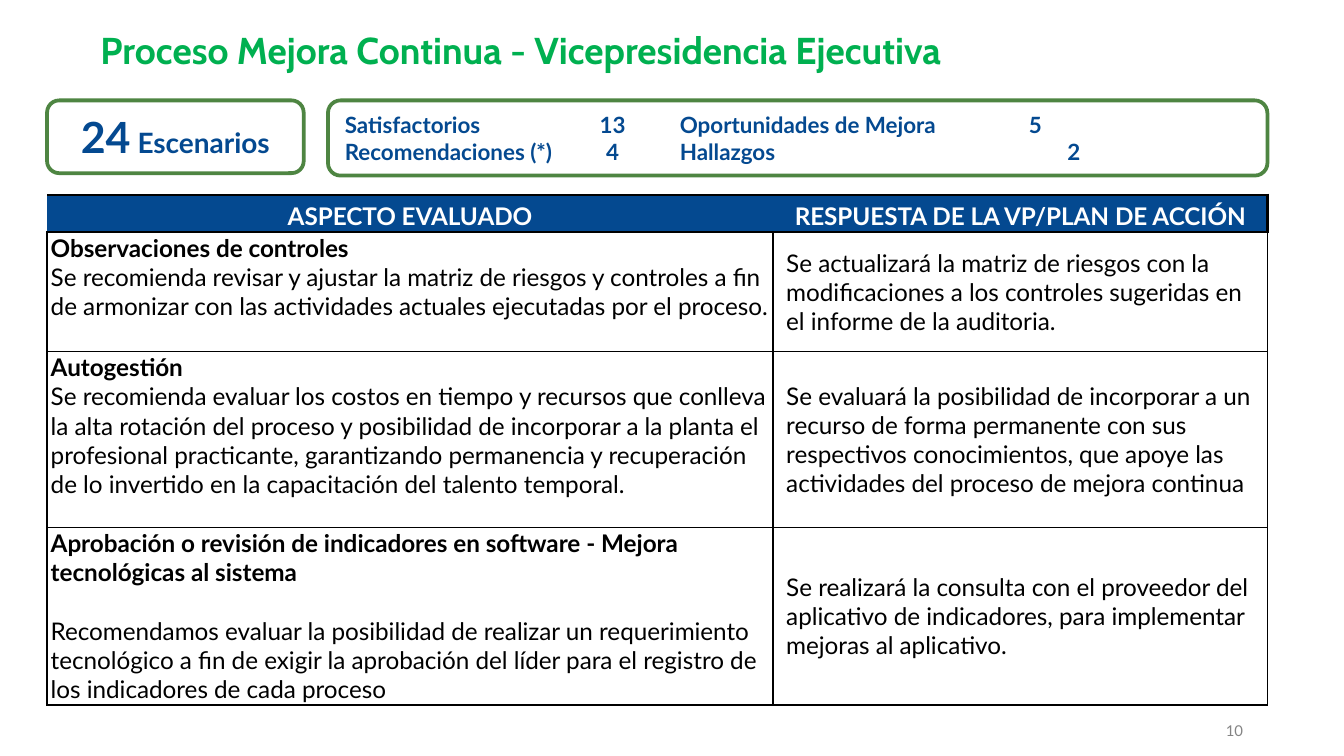
from pptx import Presentation
from pptx.dml.color import RGBColor
from pptx.enum.shapes import MSO_SHAPE
from pptx.enum.text import MSO_ANCHOR, PP_ALIGN
from pptx.oxml.ns import qn
from pptx.util import Pt
from lxml.etree import SubElement

COLORS = {"title": "00B050", "blue": "044990", "green": "4E8542",
          "white": "FFFFFF", "black": "000000", "gray": "848484"}

TITLE = "Proceso Mejora Continua - Vicepresidencia Ejecutiva"
PAGE = "10"
TOTAL = ("24", " Escenarios")
RESULTS = [
    ("Satisfactorios\t13\tOportunidades de Mejora\t5", 366.5),
    ("Recomendaciones (*)\t4\tHallazgos\t2", 387),
]
HEADERS = ["ASPECTO EVALUADO", "RESPUESTA DE LA VP/PLAN DE ACCIÓN"]
ROWS = [
    ("Observaciones de controles",
     "Se recomienda revisar y ajustar la matriz de riesgos y controles a fin de armonizar "
     "con las actividades actuales ejecutadas por el proceso.", 0,
     "Se actualizará la matriz de riesgos con la modificaciones a los controles sugeridas "
     "en el informe de la auditoria."),
    ("Autogestión",
     "Se recomienda evaluar los costos en tiempo y recursos que conlleva la alta rotación "
     "del proceso y posibilidad de incorporar a la planta el profesional practicante, "
     "garantizando permanencia y recuperación de lo invertido en la capacitación del "
     "talento temporal.", 0,
     "Se evaluará la posibilidad de incorporar a un recurso de forma permanente con sus "
     "respectivos conocimientos, que apoye las actividades del proceso de mejora continua"),
    ("Aprobación o revisión de indicadores en software - Mejora tecnológicas al sistema",
     "Recomendamos evaluar la posibilidad de realizar un requerimiento tecnológico a fin "
     "de exigir la aprobación del líder para el registro de los indicadores de cada "
     "proceso", 15.6,
     "Se realizará la consulta con el proveedor del aplicativo de indicadores, para "
     "implementar mejoras al aplicativo."),
]
COL_WIDTHS = [388.8, 265]
ROW_HEIGHTS = [20, 64, 94.3, 95]
LEFT = 25.2


def add_text(p, text, size=13, font="Lato", color="black", bold=False,
             align=PP_ALIGN.LEFT, spacing=None, before=0):
    p.alignment = align
    if spacing:
        p.line_spacing = spacing
    if before:
        p.space_before = Pt(before)
    r = p.add_run()
    r.text = text
    r.font.size = Pt(size)
    r.font.name = font
    r.font.bold = bold
    r.font.color.rgb = RGBColor.from_string(COLORS[color])


def set_margins(obj, x, y):
    obj.margin_left = obj.margin_right = Pt(x)
    obj.margin_top = obj.margin_bottom = Pt(y)


def add_box(s, x, y, w, h, anchor=MSO_ANCHOR.TOP):
    tf = s.shapes.add_textbox(Pt(x), Pt(y), Pt(w), Pt(h)).text_frame
    tf.word_wrap = True
    tf.vertical_anchor = anchor
    set_margins(tf, 0, 0)
    return tf


def add_card(s, x, y, w, h):
    sp = s.shapes.add_shape(MSO_SHAPE.ROUNDED_RECTANGLE, Pt(x), Pt(y), Pt(w), Pt(h))
    sp.shadow.inherit = False
    sp.fill.solid()
    sp.fill.fore_color.rgb = RGBColor.from_string(COLORS["white"])
    sp.line.color.rgb = RGBColor.from_string(COLORS["green"])
    sp.line.width = Pt(2)
    tf = sp.text_frame
    tf.word_wrap = True
    tf.vertical_anchor = MSO_ANCHOR.MIDDLE
    return tf


def set_tabs(p, stops):
    tabs = SubElement(p._p.get_or_add_pPr(), qn("a:tabLst"))
    for pos, align in stops:
        SubElement(tabs, qn("a:tab"), pos=str(Pt(pos)), algn=align)


def set_borders(cell, widths):
    tc_pr = cell._tc.get_or_add_tcPr()
    for i, side in enumerate("LRTB"):
        width = widths.get(side, 0)
        ln = tc_pr.makeelement(qn(f"a:ln{side}"), {"w": str(Pt(width))})
        if width:
            fill = SubElement(ln, qn("a:solidFill"))
            SubElement(fill, qn("a:srgbClr"), val=COLORS["black"])
        else:
            SubElement(ln, qn("a:noFill"))
        tc_pr.insert(i, ln)


def add_findings(s):
    shape = s.shapes.add_table(len(ROWS) + 1, 2, Pt(LEFT), Pt(104.4),
                               Pt(sum(COL_WIDTHS)), Pt(sum(ROW_HEIGHTS)))
    table = shape.table
    table.horz_banding = False
    for col, width in zip(table.columns, COL_WIDTHS):
        col.width = Pt(width)
    for row, height in zip(table.rows, ROW_HEIGHTS):
        row.height = Pt(height)

    for i, text in enumerate(HEADERS):
        cell = table.cell(0, i)
        cell.fill.solid()
        cell.fill.fore_color.rgb = RGBColor.from_string(COLORS["blue"])
        cell.vertical_anchor = MSO_ANCHOR.MIDDLE
        set_margins(cell, 2, 0.7)
        set_borders(cell, {"T": 1.5, "B": 1, "R": 1.5 * i})
        add_text(cell.text_frame.paragraphs[0], text, color="white", bold=True,
                 align=PP_ALIGN.CENTER, spacing=1.15)

    for i, (heading, detail, gap, answer) in enumerate(ROWS, 1):
        aspect, response = table.cell(i, 0), table.cell(i, 1)
        for cell in (aspect, response):
            cell.fill.background()
            set_borders(cell, dict.fromkeys("LRTB", 1))
        set_margins(aspect, 2, 0.7)
        set_margins(response, 7.2, 3)
        response.vertical_anchor = MSO_ANCHOR.MIDDLE
        tf = aspect.text_frame
        add_text(tf.paragraphs[0], heading, bold=True)
        add_text(tf.add_paragraph(), detail, before=gap)
        add_text(response.text_frame.paragraphs[0], answer)


prs = Presentation()
prs.slide_width, prs.slide_height = Pt(720), Pt(405)
s = prs.slides.add_slide(prs.slide_layouts[6])

tf = add_box(s, 643, 386.6, 23, 9.4, MSO_ANCHOR.BOTTOM)
add_text(tf.paragraphs[0], PAGE, size=8, color="gray", align=PP_ALIGN.RIGHT)

add_findings(s)

tf = add_box(s, 16.6, 18, 525, 28.8)
add_text(tf.paragraphs[0], TITLE, size=20, font="Cabin", color="title", bold=True,
         align=PP_ALIGN.CENTER, spacing=0.85)

p = add_card(s, LEFT, 53.8, 137.5, 39).paragraphs[0]
for text, size in zip(TOTAL, (23, 15)):
    add_text(p, text, size=size, color="blue", bold=True, align=PP_ALIGN.CENTER)

tf = add_card(s, 175.7, 53.8, 503.3, 40.3)
for i, (text, last_stop) in enumerate(RESULTS):
    p = tf.add_paragraph() if i else tf.paragraphs[0]
    add_text(p, text, size=12, color="blue", bold=True)
    set_tabs(p, [(143.5, "ctr"), (179.5, "l"), (last_stop, "l")])

prs.save("out.pptx")
